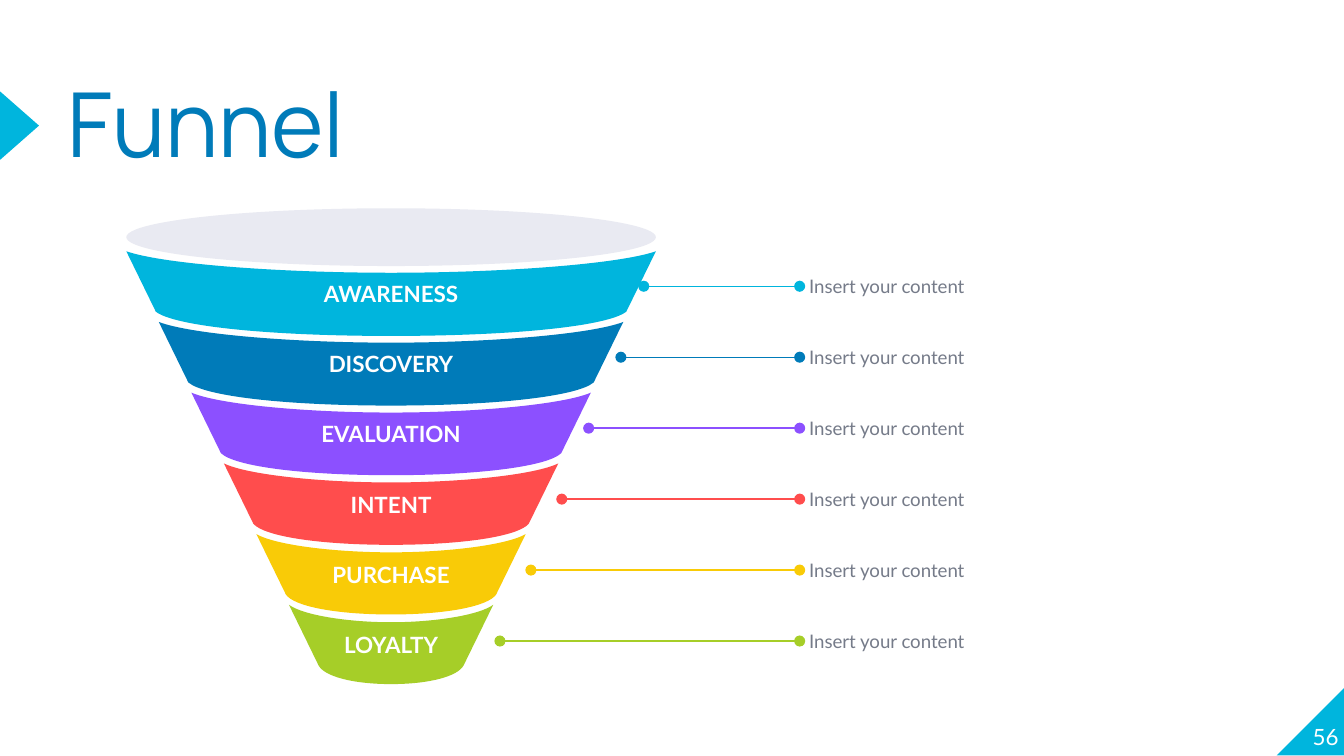
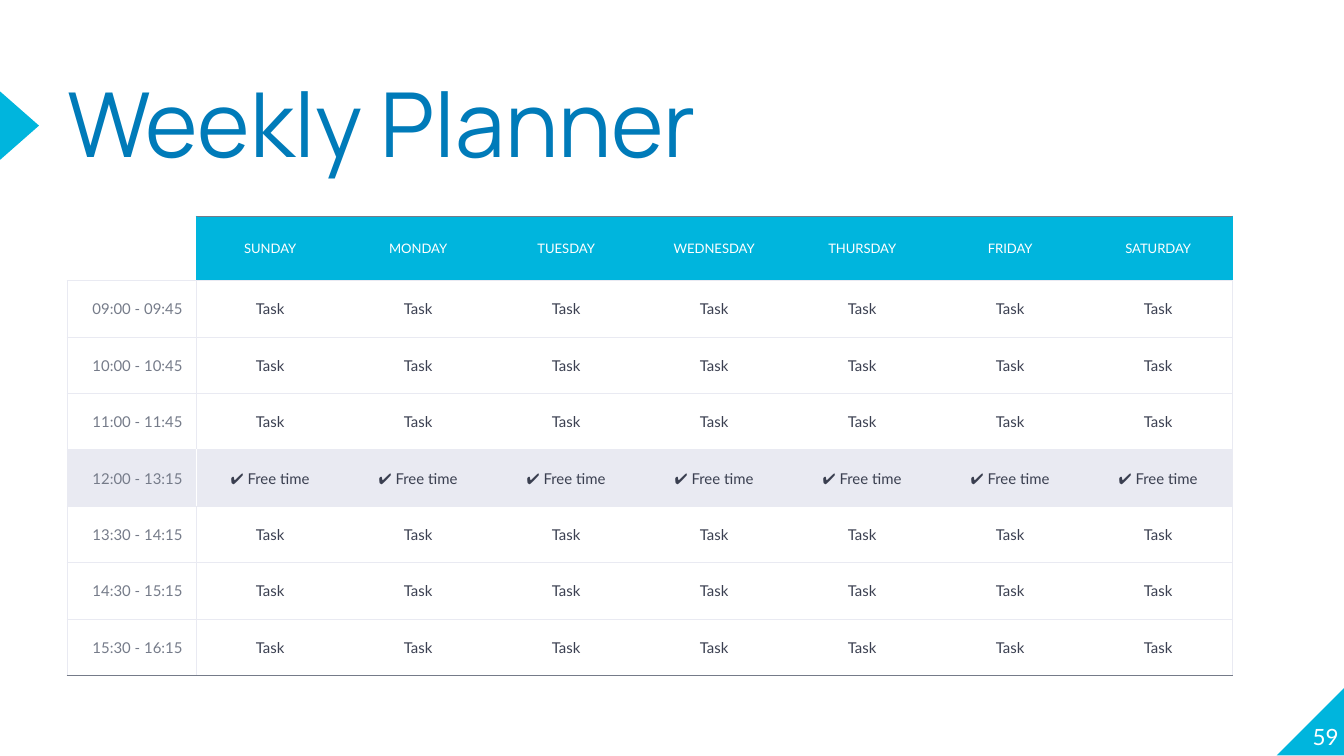
from lxml.etree import SubElement
from pptx import Presentation
from pptx.dml.color import RGBColor
from pptx.enum.shapes import MSO_CONNECTOR, MSO_SHAPE
from pptx.enum.text import MSO_ANCHOR, PP_ALIGN
from pptx.oxml import parse_xml
from pptx.oxml.ns import nsdecls, qn
from pptx.util import Inches, Pt

COLORS = {
    "cyan": "00B5DD", "blue": "007BB9", "purple": "8C50FF", "red": "FF4D4D",
    "yellow": "F9CB07", "green": "A6CE28", "pale": "E9EAF2", "gray": "757B89",
    "ink": "3A3F50", "white": "FFFFFF",
}
HEAD_FONT, BODY_FONT = "Manrope", "Lato"

# Stage, colour, left end of its leader line
STAGES = [
    ("AWARENESS", "cyan", 4.79),
    ("DISCOVERY", "blue", 4.62),
    ("EVALUATION", "purple", 4.38),
    ("INTENT", "red", 4.18),
    ("PURCHASE", "yellow", 3.95),
    ("LOYALTY", "green", 3.72),
]
STAGE_NOTE = "Insert your content"
DAYS = ["SUNDAY", "MONDAY", "TUESDAY", "WEDNESDAY", "THURSDAY", "FRIDAY", "SATURDAY"]
TASK, FREE = "Task", "✔ Free time"
HOURS = [
    ("09:00 - 09:45", TASK),
    ("10:00 - 10:45", TASK),
    ("11:00 - 11:45", TASK),
    ("12:00 - 13:15", FREE),
    ("13:30 - 14:15", TASK),
    ("14:30 - 15:15", TASK),
    ("15:30 - 16:15", TASK),
]

# Funnel geometry, in inches; spans run from the first stage to the last
STEPS = len(STAGES) - 1
FUNNEL_CENTER, FUNNEL_TOP, FUNNEL_SPAN = 2.91, 1.87, 2.63
RIM_HALF, RIM_SHRINK = 1.97, 1.21
SIDE_DROP, SIDE_INSET = 0.45, 0.22
LEADER_TOP, LEADER_SPAN, LEADER_END = 2.13, 2.64, 5.95
NOTE_LEFT, NOTE_WIDTH, NOTE_HEIGHT = 6.02, 3.05, 0.38

# Planner grid, in inches
PLANNER_LEFT, PLANNER_TOP = 0.5, 1.61
HOUR_WIDTH, DAY_WIDTH = 0.96, 7.71 / len(DAYS)
HEADER_HEIGHT, HOUR_HEIGHT = 0.48, 0.42


def rgb(color):
    return RGBColor.from_string(COLORS[color])


def box(*lengths):
    return [Inches(length) for length in lengths]


def write(frame, text, size, color, align=PP_ALIGN.LEFT, font=BODY_FONT, bold=False):
    paragraph = frame.paragraphs[0]
    paragraph.alignment = align
    run = paragraph.add_run()
    run.text = text
    run.font.name, run.font.size, run.font.bold = font, Pt(size), bold
    run.font.color.rgb = rgb(color)
    return paragraph


def set_insets(frame, across=0, down=0):
    frame.margin_left = frame.margin_right = Inches(across)
    frame.margin_top = frame.margin_bottom = Inches(down)


def paint(shape, color):
    shape.shadow.inherit = False
    shape.fill.solid()
    shape.fill.fore_color.rgb = rgb(color)
    shape.line.fill.background()
    return shape


def add_label(slide, place, text, size, color, align, anchor):
    frame = slide.shapes.add_textbox(*box(*place)).text_frame
    frame.word_wrap = True
    frame.vertical_anchor = anchor
    set_insets(frame)
    write(frame, text, size, color, align)


def decorate_layout(slide):
    """Draw the corner and title marker once and hand them to the slide's layout."""
    layout_tree = slide.slide_layout.shapes.element
    for footer in list(slide.slide_layout.placeholders)[1:]:
        layout_tree.remove(footer.element)
    corner = slide.shapes.add_shape(MSO_SHAPE.RIGHT_TRIANGLE, *box(9.5, 5.11, 0.51, 0.51))
    corner.element.spPr.find(qn("a:xfrm")).set("flipH", "1")
    marker = slide.shapes.add_shape(MSO_SHAPE.ISOSCELES_TRIANGLE, *box(-0.11, 0.79, 0.51, 0.29))
    marker.rotation = 90
    for mark in (corner, marker):
        paint(mark, "cyan")
        # An empty text body would stretch these small shapes
        mark.element.remove(mark.element.find(qn("p:txBody")))
        layout_tree.append(mark.element)


def add_page(deck, title, number):
    layout = deck.slide_layouts.get_by_name("Title Only")
    slide = deck.slides.add_slide(layout)
    if len(deck.slides) == 1:
        decorate_layout(slide)
    heading = slide.shapes.title
    heading.left, heading.top, heading.width, heading.height = box(0.5, 0.66, 6.17, 1.18)
    frame = heading.text_frame
    frame.vertical_anchor = MSO_ANCHOR.TOP
    set_insets(frame)
    write(frame, title, 48, "blue", font=HEAD_FONT).line_spacing = 0.8
    add_label(slide, (9.46, 5.07, 0.5, 0.51), str(number), 12, "white",
              PP_ALIGN.RIGHT, MSO_ANCHOR.BOTTOM)
    return slide


def arc(half, edge, sag, outer, inner):
    """Two Bézier curves, left to right: ends and controls of a sagging edge."""
    left = [(-half, edge), (-half * outer, edge + 0.6 * sag), (-half * inner, edge + sag)]
    right = [(-x, y) for x, y in reversed(left)]
    return [(FUNNEL_CENTER + x, y) for x, y in left + [(0, edge + sag)] + right]


def bend(freeform):
    """Turn the straight runs along the rim and the base into cubic curves."""
    lines = list(freeform.element.iter(qn("a:lnTo")))
    for first in (0, 3, 7, 10):
        trio = lines[first:first + 3]
        curve = trio[0].makeelement(qn("a:cubicBezTo"))
        trio[0].addprevious(curve)
        for line in trio:
            curve.append(line[0])
            line.getparent().remove(line)


def add_stage(slide, level, name, color):
    top = FUNNEL_TOP + level * FUNNEL_SPAN / STEPS
    half = RIM_HALF - level * RIM_SHRINK / STEPS
    rim = arc(half, top, 0.16 - 0.03 * level / STEPS, 0.86, 0.42)
    base = arc(half - SIDE_INSET, top + SIDE_DROP, 0.18 - 0.04 * level / STEPS, 0.92, 0.52)
    outline = [(Inches(x), Inches(y)) for x, y in rim + base[::-1]]
    builder = slide.shapes.build_freeform(*outline[0])
    builder.add_line_segments(outline[1:])
    stage = paint(builder.convert_to_shape(), color)
    bend(stage)
    frame = stage.text_frame
    frame.vertical_anchor = MSO_ANCHOR.MIDDLE
    set_insets(frame, 0.07, 0.04)
    write(frame, name, 12, "white", PP_ALIGN.CENTER, bold=True)


def add_leader(slide, start, y, color):
    leader = slide.shapes.add_connector(
        MSO_CONNECTOR.STRAIGHT, *box(start, y, LEADER_END, y))
    leader.line.color.rgb = rgb(color)
    leader.line.width = Pt(0.75)
    stroke = leader.element.spPr.find(qn("a:ln"))
    for end in ("a:headEnd", "a:tailEnd"):
        SubElement(stroke, qn(end), type="oval")
    SubElement(leader.element.spPr, qn("a:effectLst"))


def build_funnel(deck):
    slide = add_page(deck, "Funnel", 56)
    for level, (name, color, leader_start) in enumerate(STAGES):
        add_stage(slide, level, name, color)
        y = LEADER_TOP + level * LEADER_SPAN / STEPS
        add_leader(slide, leader_start, y, color)
        add_label(slide, (NOTE_LEFT, y - NOTE_HEIGHT / 2, NOTE_WIDTH, NOTE_HEIGHT),
                  STAGE_NOTE, 10, "gray", PP_ALIGN.LEFT, MSO_ANCHOR.MIDDLE)
    paint(slide.shapes.add_shape(
        MSO_SHAPE.OVAL, *box(FUNNEL_CENTER - RIM_HALF, 1.55, 2 * RIM_HALF, 0.43)), "pale")


def set_borders(cell, sides):
    """Draw the given sides, a dict of L, R, T, B to colour; the rest stay bare."""
    properties = cell._tc.get_or_add_tcPr()
    for place, side in enumerate("LRTB"):
        stroke = "<a:noFill/>"
        if side in sides:
            stroke = f'<a:solidFill><a:srgbClr val="{COLORS[sides[side]]}"/></a:solidFill>'
        properties.insert(place, parse_xml(
            f'<a:ln{side} {nsdecls("a")} w="{Pt(0.75)}">{stroke}</a:ln{side}>'))


def fill_cell(cell, text, size, color, align, fill, sides):
    cell.vertical_anchor = MSO_ANCHOR.MIDDLE
    set_insets(cell, 0.1, 0.1 if text else 0.05)
    if fill:
        cell.fill.solid()
        cell.fill.fore_color.rgb = rgb(fill)
    else:
        cell.fill.background()
    if text:
        write(cell.text_frame, text, size, color, align)
    set_borders(cell, sides)


def build_planner(deck):
    slide = add_page(deck, "Weekly Planner", 59)
    last_day, last_hour = len(DAYS), len(HOURS)
    planner = slide.shapes.add_table(
        last_hour + 1, last_day + 1,
        *box(PLANNER_LEFT, PLANNER_TOP, HOUR_WIDTH + last_day * DAY_WIDTH,
             HEADER_HEIGHT + last_hour * HOUR_HEIGHT)).table
    planner.first_row = planner.horz_banding = False
    # Plain style without grid lines
    planner._tbl.tblPr.find(qn("a:tableStyleId")).text = "{2D5ABB26-0587-4C30-8999-92F81FD0307C}"
    for index, column in enumerate(planner.columns):
        column.width = Inches(DAY_WIDTH if index else HOUR_WIDTH)
    for index, row in enumerate(planner.rows):
        row.height = Inches(HOUR_HEIGHT if index else HEADER_HEIGHT)

    fill_cell(planner.cell(0, 0), "", 7, "white", PP_ALIGN.CENTER, None,
              {"R": "cyan", "B": "pale"})
    for day, name in enumerate(DAYS, 1):
        sides = {"T": "gray", "B": "pale"}
        if day == 1:
            sides["L"] = "cyan"
        if day == last_day:
            sides["R"] = "cyan"
        fill_cell(planner.cell(0, day), name, 7, "white", PP_ALIGN.CENTER, "cyan", sides)

    for hour, (span, activity) in enumerate(HOURS, 1):
        fill = "pale" if activity == FREE else None
        divider = "white" if fill else "pale"
        edges = {"T": "pale", "B": "gray" if hour == last_hour else "pale"}
        fill_cell(planner.cell(hour, 0), span, 8, "gray", PP_ALIGN.RIGHT, fill,
                  {**edges, "L": "pale", "R": divider})
        for day in range(1, last_day + 1):
            sides = dict(edges)
            if day == 1:
                sides["L"] = divider
            if day == last_day:
                sides["R"] = "pale"
            fill_cell(planner.cell(hour, day), activity, 8, "ink",
                      PP_ALIGN.CENTER, fill, sides)


def main():
    deck = Presentation()
    deck.slide_width = Inches(10)
    deck.slide_height = deck.slide_width * 9 // 16
    build_funnel(deck)
    build_planner(deck)
    deck.save("out.pptx")


if __name__ == "__main__":
    main()
